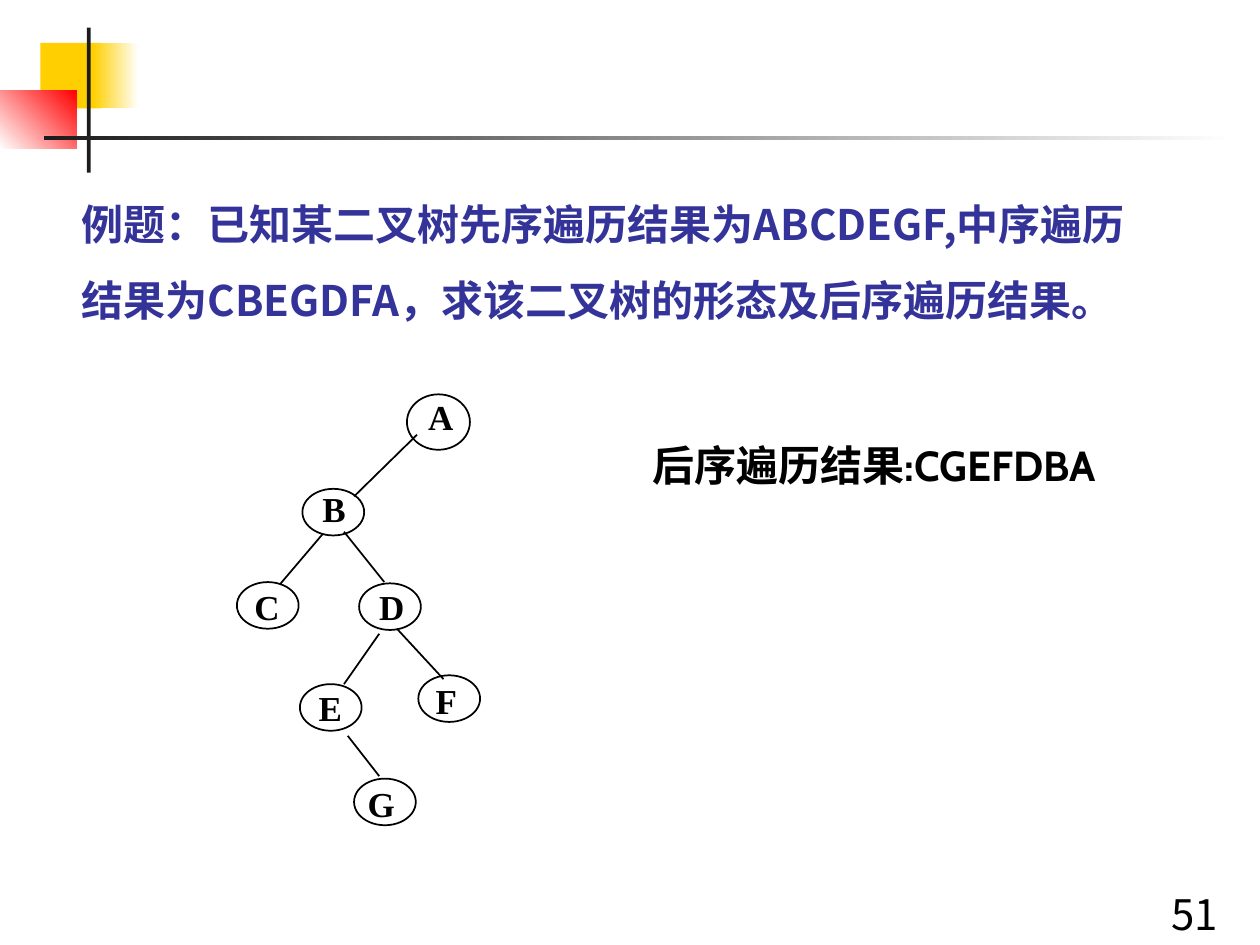
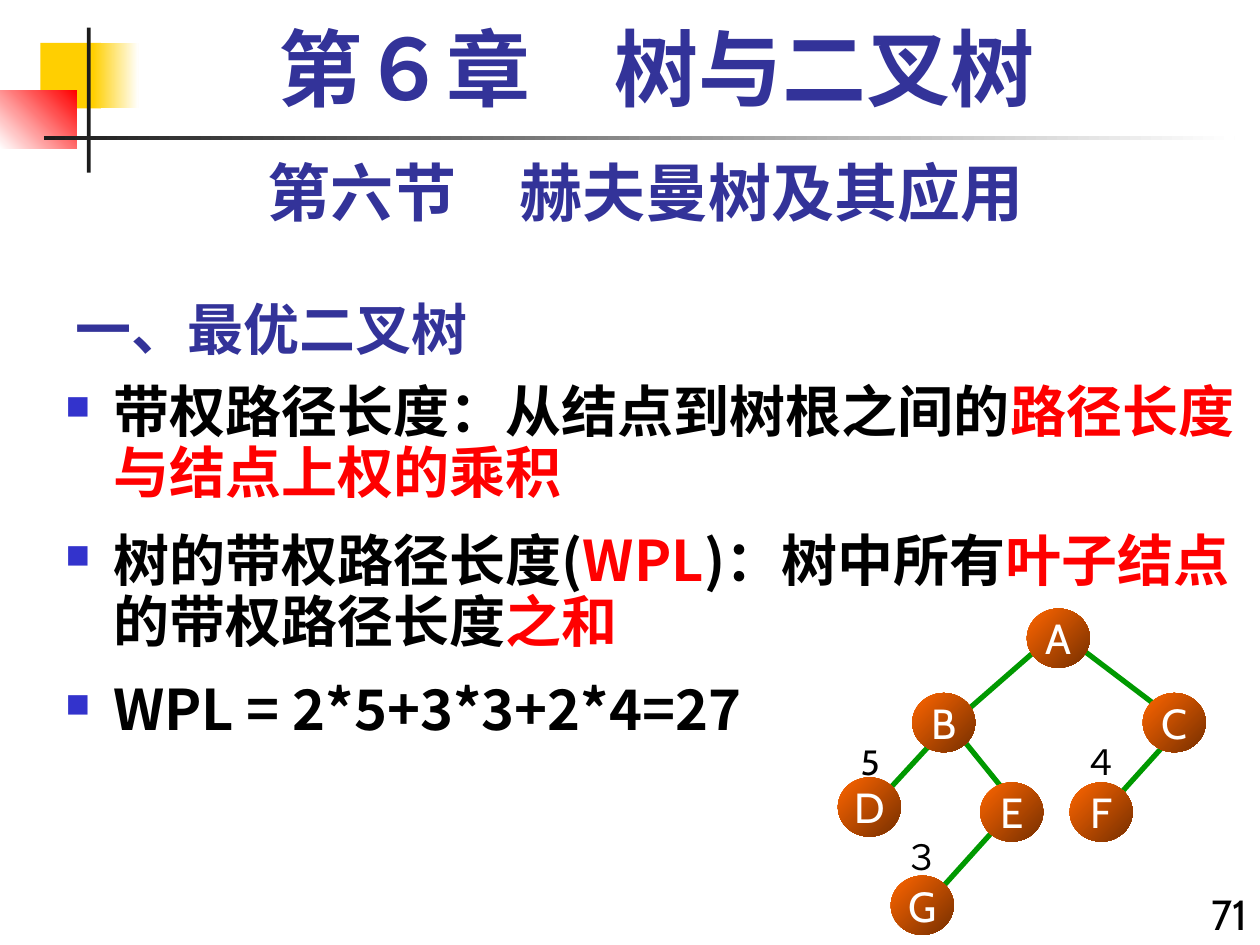
"""Two lecture slides on binary trees: traversal and Huffman path length."""
from lxml.etree import SubElement
from pptx import Presentation
from pptx.dml.color import RGBColor
from pptx.enum.shapes import MSO_CONNECTOR, MSO_SHAPE
from pptx.enum.text import MSO_ANCHOR, MSO_AUTO_SIZE, PP_ALIGN
from pptx.oxml.ns import qn
from pptx.util import Inches, Pt

COLORS = {
    "black": "000000", "white": "FFFFFF", "red": "FF0000", "navy": "333399",
    "bullet": "3333CC", "yellow": "FFCF01", "charcoal": "1C1C1C",
    "edge": "009900", "orange": "FF6600", "brown": "762F00",
}
CJK = "Noto Sans CJK SC"
FONTS = {
    "chapter": {"name": "Times New Roman", "size": Pt(48), "bold": True},
    "section": {"name": "Cabin", "size": Pt(36), "bold": True},
    "body": {"name": CJK, "size": Pt(32), "bold": True},
    "question": {"name": CJK, "size": Pt(24), "bold": True},
    "answer": {"name": "Cabin", "size": Pt(24), "bold": True},
    "plain": {"name": CJK, "size": Pt(24), "bold": False},
    "node": {"name": "Cabin", "size": Pt(24), "bold": False},
    "weight": {"name": "Cabin", "size": Pt(20), "bold": False},
    "letter": {"name": "Times New Roman", "size": Pt(20), "bold": True},
}
CENTER = {"alignment": PP_ALIGN.CENTER}
GROW = {"auto_size": MSO_AUTO_SIZE.SHAPE_TO_FIT_TEXT}
TIGHT = {"margin_left": 0, "margin_right": 0}

CORNER_BARS = [
    (0.32, 0.34, 0.48, 0.52, ["yellow"], 0),
    (0.74, 0.34, 0.36, 0.52, ["yellow", "white"], 0),
    (0, 0.72, 0.61, 0.46, ["white", "red"], 315),
    (0.69, 0.22, 0.03, 1.15, ["charcoal"], 0),
    (0.35, 1.08, 9.45, 0.03, ["charcoal", "white"], 0),
]
TRAVERSAL_NODES = [
    ("A", (3.23, 3.13, 0.5, 0.44), (3.3, 3.09, 0.41)),
    ("B", (2.4, 3.88, 0.49, 0.37), (2.46, 3.82, 0.4)),
    ("G", (2.81, 6.18, 0.49, 0.37), (2.82, 6.16, 0.42)),
    ("D", (2.85, 4.63, 0.49, 0.37), (2.91, 4.6, 0.41)),
    ("F", (3.32, 5.36, 0.49, 0.37), (3.36, 5.34, 0.38)),
    ("C", (1.88, 4.62, 0.49, 0.37), (1.92, 4.6, 0.42)),
    ("E", (2.38, 5.43, 0.49, 0.37), (2.43, 5.4, 0.4)),
]
TRAVERSAL_EDGES = [
    (3.31, 3.45, 2.81, 3.94), (2.76, 5.84, 3.01, 6.16), (3.15, 4.99, 3.52, 5.39),
    (2.73, 4.22, 3.05, 4.62), (2.56, 4.24, 2.22, 4.64), (3.01, 5.03, 2.73, 5.43),
]
WEIGHTED_NODES = {
    "A": (8.15, 4.83), "D": (6.65, 6.17), "B": (7.24, 5.5), "F": (8.49, 6.21),
    "C": (9.07, 5.5), "G": (7.07, 6.95), "E": (7.78, 6.21),
}
WEIGHTED_EDGES = [
    (8.53, 5.11, 9.15, 5.58), (8.28, 5.11, 7.65, 5.66), (7.53, 5.75, 7.07, 6.25),
    (7.57, 5.78, 7.95, 6.25), (9.36, 5.78, 8.9, 6.29), (7.95, 6.52, 7.49, 7.03),
]
LEAF_WEIGHTS = [("5", 6.74, 5.83), ("３", 7.15, 6.58), ("４", 8.57, 5.83)]
DEFINITIONS = [
    [("带权路径长度：从结点到树根之间的", "black"), ("路径长度与结点上权的乘积", "red")],
    [("树的带权路径长度(", "black"), ("WPL", "red"), (")：树中所有", "black"),
     ("叶子结点", "red"), ("的带权路径长度", "black"), ("之和", "red")],
    [("WPL = 2*5+3*3+2*4=27", "black")],
]


def rgb(color):
    """Return the named colour."""
    return RGBColor.from_string(COLORS[color])


def apply_format(target, values):
    """Set every attribute of the target from a dict."""
    for name, value in values.items():
        setattr(target, name, value)


def add_span(para, words, font, color):
    """Add one run of text in a named font and colour."""
    span = para.add_run()
    span.text = words
    apply_format(span.font, FONTS[font])
    span.font.color.rgb = rgb(color)
    SubElement(span._r.get_or_add_rPr(), qn("a:ea"), typeface=CJK)


def add_text(page, at, words, font, color="black", frame=None, layout=None):
    """Add a one-paragraph text box."""
    box = page.shapes.add_textbox(*map(Inches, at))
    apply_format(box.text_frame, {"word_wrap": True, **(frame or {})})
    para = box.text_frame.paragraphs[0]
    apply_format(para, layout or {})
    add_span(para, words, font, color)


def add_filled(page, preset, at, colors, angle=0):
    """Add a shape without outline, in a solid or two-colour gradient fill."""
    shape = page.shapes.add_shape(preset, *map(Inches, at))
    shape.shadow.inherit = False
    shape.line.fill.background()
    if len(colors) == 1:
        shape.fill.solid()
        shape.fill.fore_color.rgb = rgb(colors[0])
    else:
        shape.fill.gradient()
        shape.fill.gradient_angle = -angle % 360
        for stop, color in zip(shape.fill.gradient_stops, colors):
            stop.color.rgb = rgb(color)
    return shape


def add_edge(page, ends, color, width):
    """Add a straight tree edge."""
    edge = page.shapes.add_connector(MSO_CONNECTOR.STRAIGHT, *map(Inches, ends))
    edge.line.color.rgb = rgb(color)
    edge.line.width = Pt(width)
    SubElement(edge._element.spPr, qn("a:effectLst"))


def add_outlined_node(page, letter, oval, label):
    """Add a hollow node with its letter."""
    node = page.shapes.add_shape(MSO_SHAPE.OVAL, *map(Inches, oval))
    node.shadow.inherit = False
    node.fill.background()
    node.line.color.rgb = rgb("black")
    node.line.width = Pt(1)
    add_text(page, (*label, 0.39), letter, "letter", frame={**GROW, "word_wrap": False})


def add_shaded_node(page, letter, left, top):
    """Add an orange node with its letter inside."""
    node = add_filled(page, MSO_SHAPE.OVAL, (left, top, 0.5, 0.47), ["orange", "brown"], 45)
    apply_format(node.text_frame, {
        **TIGHT, "word_wrap": False, "vertical_anchor": MSO_ANCHOR.MIDDLE})
    para = node.text_frame.paragraphs[0]
    apply_format(para, CENTER)
    add_span(para, letter, "node", "white")


def add_bullet(para):
    """Give a paragraph a hanging square bullet."""
    props = para._p.get_or_add_pPr()
    props.set("marL", str(Inches(0.38)))
    props.set("indent", str(-Inches(0.38)))
    SubElement(SubElement(props, qn("a:buClr")), qn("a:srgbClr"), val=COLORS["bullet"])
    SubElement(props, qn("a:buSzPct"), val="60000")
    SubElement(props, qn("a:buChar"), char="■")


def add_definitions(page):
    """Add the bulleted definitions."""
    box = page.shapes.add_textbox(*map(Inches, (0.42, 3, 9.58, 4.5)))
    frame = box.text_frame
    frame.word_wrap = True
    for index, spans in enumerate(DEFINITIONS):
        para = frame.add_paragraph() if index else frame.paragraphs[0]
        add_bullet(para)
        apply_format(para, {"line_spacing": 0.9, "space_before": Pt(16 if index else 0)})
        for words, color in spans:
            add_span(para, words, "body", color)


def add_page(deck):
    """Add a blank page with the corner bars."""
    page = deck.slides.add_slide(deck.slide_layouts[6])
    for *at, colors, angle in CORNER_BARS:
        add_filled(page, MSO_SHAPE.RECTANGLE, at, colors, angle)
    return page


def build_traversal(deck):
    """Build the traversal example."""
    page = add_page(deck)
    add_text(page, (9.2, 7, 0.8, 0.5), "51", "plain")
    add_text(page, (0.55, 1.64, 8.67, 0.67),
             "例题：已知某二叉树先序遍历结果为ABCDEGF,中序遍历结果为CBEGDFA，求该二叉树的形态及后序遍历结果。",
             "question", "navy", {"vertical_anchor": MSO_ANCHOR.MIDDLE}, {"line_spacing": 1.5})
    for node in TRAVERSAL_NODES:
        add_outlined_node(page, *node)
    for ends in TRAVERSAL_EDGES:
        add_edge(page, ends, "black", 1)
    add_text(page, (5.08, 3.44, 3.95, 0.51), "后序遍历结果:CGEFDBA", "answer",
             frame={**GROW, "word_wrap": False})


def build_huffman(deck):
    """Build the weighted path length page."""
    page = add_page(deck)
    add_text(page, (0.5, 2.17, 6.25, 0.75), "一、最优二叉树", "body", "navy",
             {"vertical_anchor": MSO_ANCHOR.BOTTOM})
    add_text(page, (9.33, 7, 0.67, 0.5), "71", "node", frame=GROW,
             layout={"alignment": PP_ALIGN.RIGHT})
    add_text(page, (0.5, 1.17, 9.25, 0.7), "第六节　赫夫曼树及其应用", "section", "navy",
             GROW, CENTER)
    add_definitions(page)
    add_text(page, (0.67, 0.17, 9.08, 0.83), "第６章　树与二叉树", "chapter", "navy",
             layout={**CENTER, "line_spacing": 0.9})
    for ends in WEIGHTED_EDGES:
        add_edge(page, ends, "edge", 3)
    for letter, corner in WEIGHTED_NODES.items():
        add_shaded_node(page, letter, *corner)
    for weight, left, top in LEAF_WEIGHTS:
        add_text(page, (left, top, 0.33, 0.43), weight, "weight",
                 frame={**GROW, **TIGHT}, layout=CENTER)


def main():
    """Build and save the deck."""
    deck = Presentation()
    apply_format(deck, {"slide_width": Inches(10), "slide_height": Inches(7.5)})
    build_traversal(deck)
    build_huffman(deck)
    deck.save("out.pptx")


if __name__ == "__main__":
    main()
